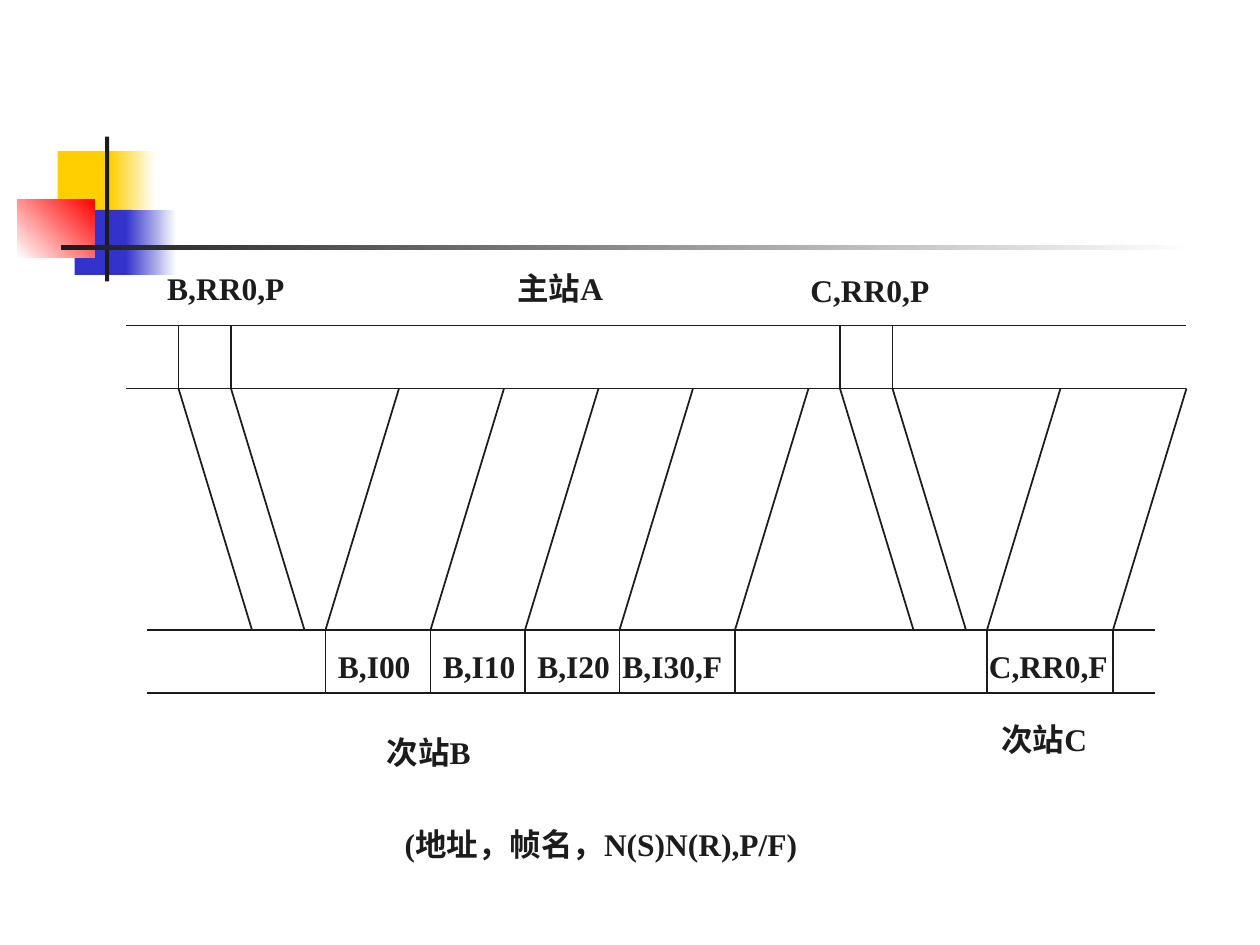
from lxml import etree
from pptx import Presentation
from pptx.dml.color import RGBColor
from pptx.enum.shapes import MSO_CONNECTOR, MSO_SHAPE
from pptx.enum.text import MSO_AUTO_SIZE
from pptx.oxml.ns import qn
from pptx.util import Inches, Pt

LINE = MSO_CONNECTOR.STRAIGHT
RECT = MSO_SHAPE.RECTANGLE
GROW = MSO_AUTO_SIZE.SHAPE_TO_FIT_TEXT

INK = RGBColor(0x1C, 0x1C, 0x1C)
WHITE = RGBColor(0xFF, 0xFF, 0xFF)
GOLD = RGBColor(0xFF, 0xCF, 0x01)
BLUE = RGBColor(0x33, 0x33, 0xCC)
RED = RGBColor(0xFF, 0x00, 0x00)

COLS, ROWS = 120, 90
TOP, BASE = (31, 37), (60, 66)  # rows of the upper and lower channels
SLANT = 7  # columns a frame drifts while it travels


def put_text(frame, text, size=18, font="Times New Roman", color=INK, bold=True):
    run = frame.paragraphs[0].add_run()
    run.text = text
    run.font.size = Pt(size)
    run.font.name = font
    run.font.bold = bold
    run.font.color.rgb = color


class Sheet:
    """Draws on one slide; all lengths are grid columns and rows."""

    def __init__(self, deck):
        self.slide = deck.slides.add_slide(deck.slide_layouts[6])
        self.col = deck.slide_width / COLS
        self.row = deck.slide_height / ROWS

    def spot(self, x, y):
        return round(x * self.col), round(y * self.row)

    def block(self, x, y, wide, high, color, fade=None, angle=0):
        """Add a plain box, or one that blends from color to fade."""
        box = self.slide.shapes.add_shape(
            RECT, *self.spot(x, y), *self.spot(wide, high))
        box.shadow.inherit = False
        box.line.fill.background()
        if fade is None:
            box.fill.solid()
            box.fill.fore_color.rgb = color
            return
        box.fill.gradient()
        box.fill.gradient_angle = angle
        for stop, tint in zip(box.fill.gradient_stops, (color, fade)):
            stop.color.rgb = tint

    def line(self, x1, y1, x2, y2):
        wire = self.slide.shapes.add_connector(
            LINE, *self.spot(x1, y1), *self.spot(x2, y2))
        wire.line.color.rgb = INK
        wire.line.width = Pt(1)
        etree.SubElement(wire._element.spPr, qn("a:effectLst"))

    def label(self, text, x, y, wide, high=4.8):
        box = self.slide.shapes.add_textbox(
            *self.spot(x, y), *self.spot(wide, high))
        box.text_frame.word_wrap = False
        box.text_frame.auto_size = GROW
        put_text(box.text_frame, text)


def main():
    deck = Presentation()
    deck.slide_width, deck.slide_height = Inches(10), Inches(7.5)
    sheet = Sheet(deck)

    # Corner ornament
    sheet.block(5.5, 14.4, 5.8, 6.2, GOLD)
    sheet.block(10.5, 14.4, 4.3, 6.2, GOLD, WHITE)
    sheet.block(7.1, 20, 5.5, 6.2, BLUE)
    sheet.block(12, 20, 4.8, 6.2, BLUE, WHITE)
    sheet.block(1.65, 19, 7.4, 5.55, WHITE, RED, 45)
    sheet.block(10, 13, 0.4, 13.8, INK)
    sheet.block(5.8, 23.37, 108, 0.42, INK, WHITE)

    # Channel borders
    for rows, left, right in ((TOP, 12, 113), (BASE, 14, 110)):
        for y in rows:
            sheet.line(left, y, right, y)

    # Polls go down from the primary, replies come up from the secondaries
    for x in (17, 22, 80, 85):
        sheet.line(x, TOP[0], x, TOP[1])
        sheet.line(x, TOP[1], x + SLANT, BASE[0])
    for x in (31, 41, 50, 59, 70, 94, 106):
        sheet.line(x, BASE[0], x, BASE[1])
        sheet.line(x, BASE[0], x + SLANT, TOP[1])

    for text, x, y, wide in (
        ("B,I00", 31, 61, 9.35),
        ("B,I10", 41, 61, 9.35),
        ("B,I20", 50, 61, 9.35),
        ("B,I30,F", 58.1, 61, 11.95),
        ("C,RR0,F", 93, 61, 13.75),
        ("B,RR0,P", 14.75, 25, 13.7),
        ("C,RR0,P", 76, 25.2, 13.75),
        ("主站A", 48.1, 25, 11.35),
        ("次站B", 35.65, 69.2, 11.25),
        ("次站C", 94.2, 68, 11.35),
        ("(地址，帧名，N(S)N(R),P/F)", 37.35, 78, 41.35),
    ):
        sheet.label(text, x, y, wide)

    deck.save("out.pptx")


if __name__ == "__main__":
    main()
